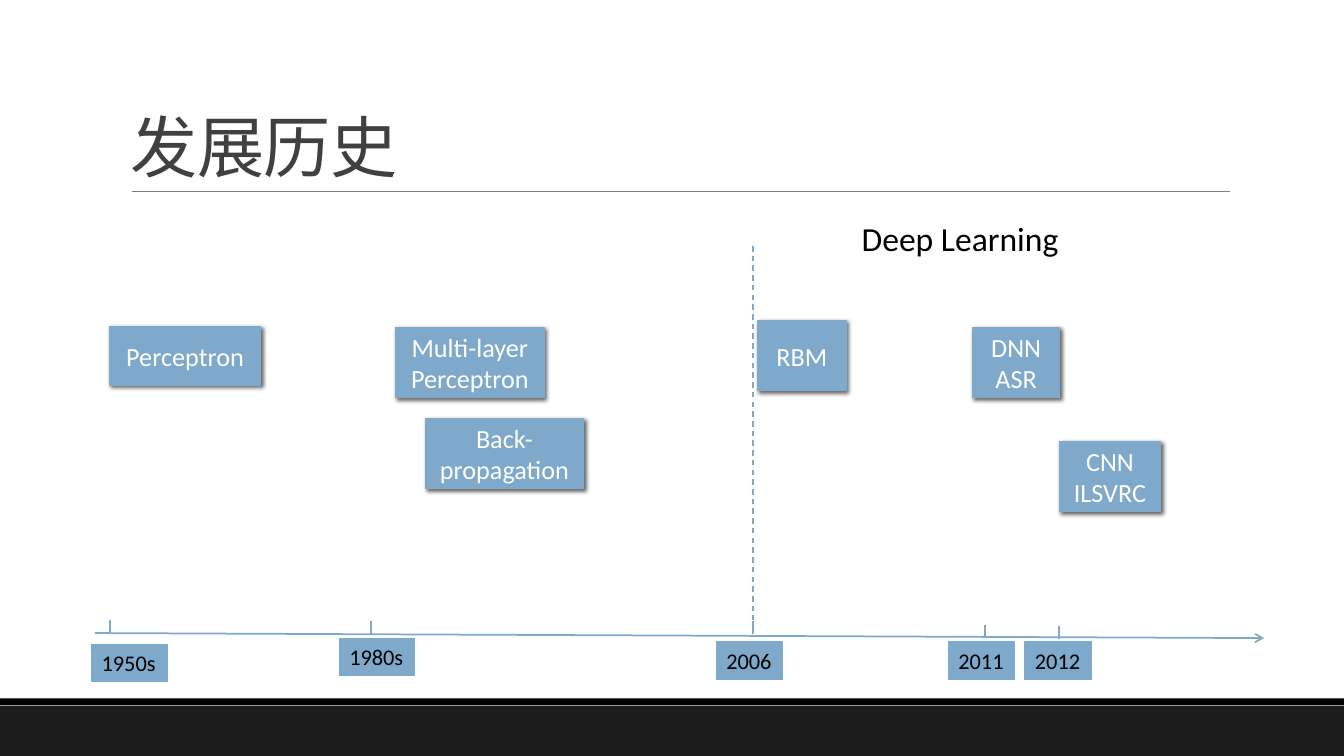
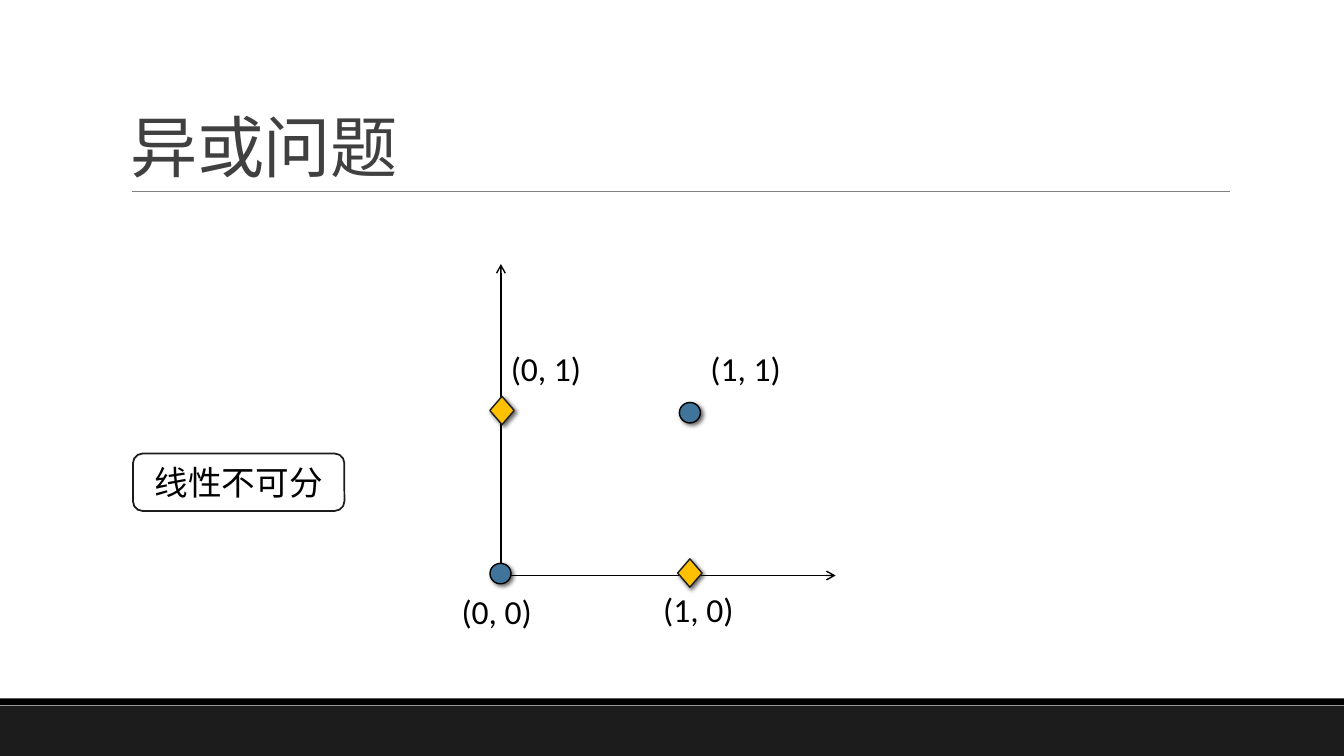
"""Build two slides: a deep learning timeline and the XOR problem."""
import pptx
import pptx.dml.color
import pptx.enum.dml
import pptx.enum.shapes
import pptx.enum.text
import pptx.oxml
import pptx.oxml.ns
import pptx.util

Pt = pptx.util.Pt
RGBColor = pptx.dml.color.RGBColor
SHAPE = pptx.enum.shapes.MSO_SHAPE
ANCHOR = pptx.enum.text.MSO_ANCHOR
ALIGN = pptx.enum.text.PP_ALIGN
DASH = pptx.enum.dml.MSO_LINE.DASH

BLACK = RGBColor(0x00, 0x00, 0x00)
WHITE = RGBColor(0xFF, 0xFF, 0xFF)
DARK = RGBColor(0x1C, 0x1C, 0x1C)
TITLE_GREY = RGBColor(0x40, 0x40, 0x40)
RULE_GREY = RGBColor(0x80, 0x80, 0x80)
SKY = RGBColor(0x7E, 0xA9, 0xCA)
BLUE = RGBColor(0x40, 0x74, 0x9B)
GOLD = RGBColor(0xFF, 0xC0, 0x00)

FONT = "Calibri"
WIDTH, HEIGHT = 960, 540
TICK = 9.4
AXIS_START, AXIS_END = (67.7, 452.2), (902.9, 455.8)
ORIGIN = (357.8, 411.1)

YEARS = [
    ("1950s", (65.5, 460.1, 54), (78.5, 442.8)),
    ("1980s", (242.4, 455.8, 54), (265, 443.5)),
    ("2006", (511.7, 458.6, 47.5), (537.8, 443.5)),
    ("2011", (677.5, 458.6, 47.5), (703.4, 446.4)),
    ("2012", (732.2, 458.6, 47.5), (756.7, 447.1)),
]
MILESTONES = [
    (["Perceptron"], (78.2, 233.1, 108, 42)),
    (["Multi-layer Perceptron"], (282.6, 234, 106, 50)),
    (["Back-propagation"], (304, 299, 112.7, 50)),
    (["RBM"], (541.2, 229, 63, 50)),
    (["DNN", "ASR"], (694.8, 234, 62.2, 50)),
    (["CNN", "ILSVRC"], (756.7, 315.4, 72.3, 50)),
]
DIAMOND = (SHAPE.DIAMOND, 17.4, 20.2, GOLD, DARK)
CIRCLE = (SHAPE.OVAL, 15, 14.6, BLUE, BLACK)
POINTS = [
    ("(0, 1)", DIAMOND, (358.6, 293.2), (357.8, 244.8)),
    ("(1, 0)", DIAMOND, (492.8, 409.3), (466.6, 416.9)),
    ("(1, 1)", CIRCLE, (492.8, 294.8), (500.4, 244.8)),
    ("(0, 0)", CIRCLE, (357.5, 409.7), (322.6, 418.3)),
]


def add_element(parent, xml):
    ns = pptx.oxml.ns.nsdecls("a")
    parent.append(pptx.oxml.parse_xml(xml.replace(" ", f" {ns} ", 1)))


def write(s, *lines, size=24, color=BLACK, align=ALIGN.LEFT, anchor=ANCHOR.TOP,
          wrap=True, line_spacing=None, spacing=None):
    tf = s.text_frame
    tf.word_wrap = wrap
    tf.vertical_anchor = anchor
    for i, line in enumerate(lines):
        p = tf.add_paragraph() if i else tf.paragraphs[0]
        p.alignment = align
        p.line_spacing = line_spacing
        r = p.add_run()
        r.text = line
        r.font.name, r.font.size = FONT, Pt(size)
        r.font.color.rgb = color
        if spacing:
            r.font._element.set("spc", str(spacing))


def add_box(slide, kind, x, y, w, h, fill, line=None, weight=1, shadow=False):
    s = slide.shapes.add_shape(kind, Pt(x), Pt(y), Pt(w), Pt(h))
    s.shadow.inherit = False
    s.fill.solid()
    s.fill.fore_color.rgb = fill
    if line is None:
        s.line.fill.background()
    else:
        s.line.color.rgb = line
        s.line.width = Pt(weight)
    if shadow:
        effects = s._element.spPr.find(pptx.oxml.ns.qn("a:effectLst"))
        add_element(effects, '<a:outerShdw blurRad="38100" dist="25400" dir="2700000" '
                    'algn="br" rotWithShape="0"><a:srgbClr val="000000">'
                    '<a:alpha val="60000"/></a:srgbClr></a:outerShdw>')
    return s


def add_line(slide, start, end, color, weight, dash=None, arrow=False):
    kind = pptx.enum.shapes.MSO_CONNECTOR.STRAIGHT
    s = slide.shapes.add_connector(kind, *(Pt(v) for v in (*start, *end)))
    s.line.color.rgb = color
    s.line.width = Pt(weight)
    if dash:
        s.line.dash_style = dash
    if arrow:
        add_element(s.line._get_or_add_ln(), '<a:tailEnd type="arrow"/>')
    add_element(s._element.spPr, "<a:effectLst />")


def add_text(slide, text, x, y, w, h, **style):
    write(slide.shapes.add_textbox(Pt(x), Pt(y), Pt(w), Pt(h)), text, **style)


def add_slide(prs, title):
    slide = prs.slides.add_slide(prs.slide_layouts[6])
    add_box(slide, SHAPE.RECTANGLE, 0, 504, WIDTH, 36, DARK)
    add_box(slide, SHAPE.RECTANGLE, 0, 498.8, WIDTH, 5, BLACK)
    add_line(slide, (94.3, 136.6), (878.8, 136.6), RULE_GREY, 0.5)
    add_text(slide, title, 86.4, 22.6, 792, 114.2, size=48, color=TITLE_GREY,
             anchor=ANCHOR.BOTTOM, line_spacing=0.85, spacing=-50)
    return slide


def add_history(prs):
    slide = add_slide(prs, "发展历史")
    add_line(slide, AXIS_START, AXIS_END, SKY, 1.25, arrow=True)
    for year, (x, y, w), (tick_x, tick_y) in YEARS:
        s = add_box(slide, SHAPE.RECTANGLE, x, y, w, 26.6, SKY, SKY, 0.75)
        write(s, year, size=16, wrap=False)
        add_line(slide, (tick_x, tick_y), (tick_x, tick_y + TICK), SKY, 1.25)
    for lines, place in MILESTONES:
        s = add_box(slide, SHAPE.RECTANGLE, *place, SKY, SKY, shadow=True)
        write(s, *lines, size=18.7, color=WHITE, align=ALIGN.CENTER, anchor=ANCHOR.MIDDLE)
    add_line(slide, (537.8, 175.7), (537.8, 442.8), SKY, 1, dash=DASH.DASH)
    add_text(slide, "Deep Learning", 608.4, 152, 157, 36, wrap=False)


def add_xor(prs):
    slide = add_slide(prs, "异或问题")
    x, y = ORIGIN
    add_line(slide, (x - 2, y), (596.9, y), BLACK, 1, arrow=True)
    add_line(slide, ORIGIN, (x, 188.6), BLACK, 1, arrow=True)
    for label, (kind, w, h, fill, line), (cx, cy), corner in POINTS:
        add_box(slide, kind, cx - w / 2, cy - h / 2, w, h, fill, line, shadow=True)
        add_text(slide, label, *corner, 64.8, 36, wrap=False)
    s = add_box(slide, SHAPE.ROUNDED_RECTANGLE, 95, 324, 151, 41, WHITE, DARK, 1.25)
    write(s, "线性不可分", align=ALIGN.CENTER, anchor=ANCHOR.MIDDLE)


def main():
    prs = pptx.Presentation()
    prs.slide_width, prs.slide_height = Pt(WIDTH), Pt(HEIGHT)
    add_history(prs)
    add_xor(prs)
    prs.save("out.pptx")


if __name__ == "__main__":
    main()
